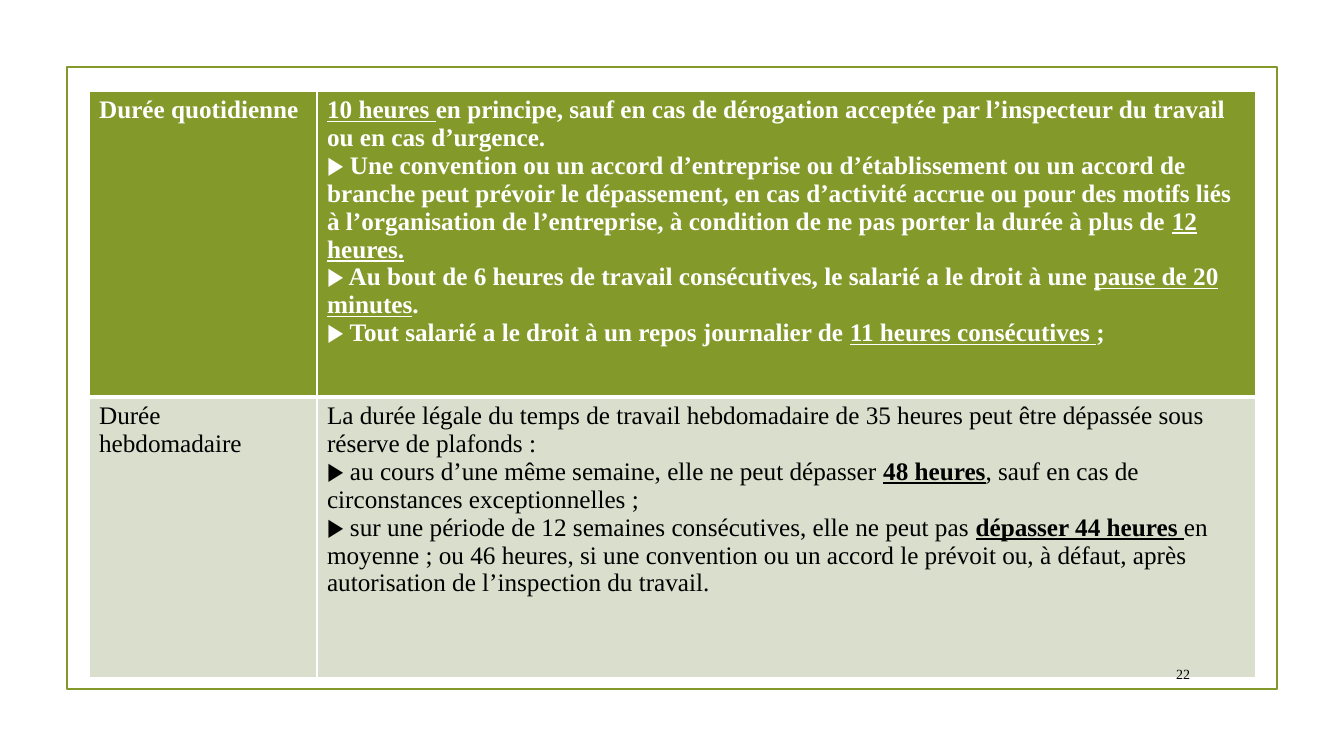
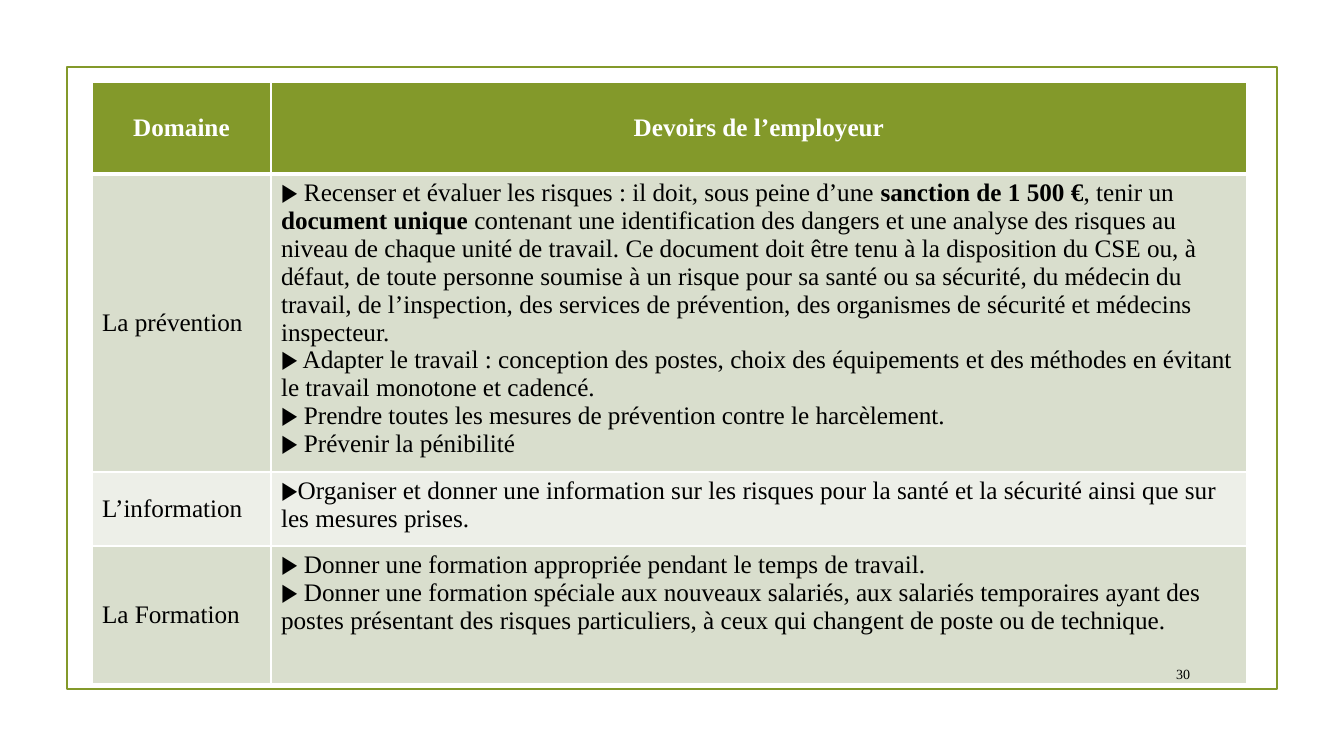
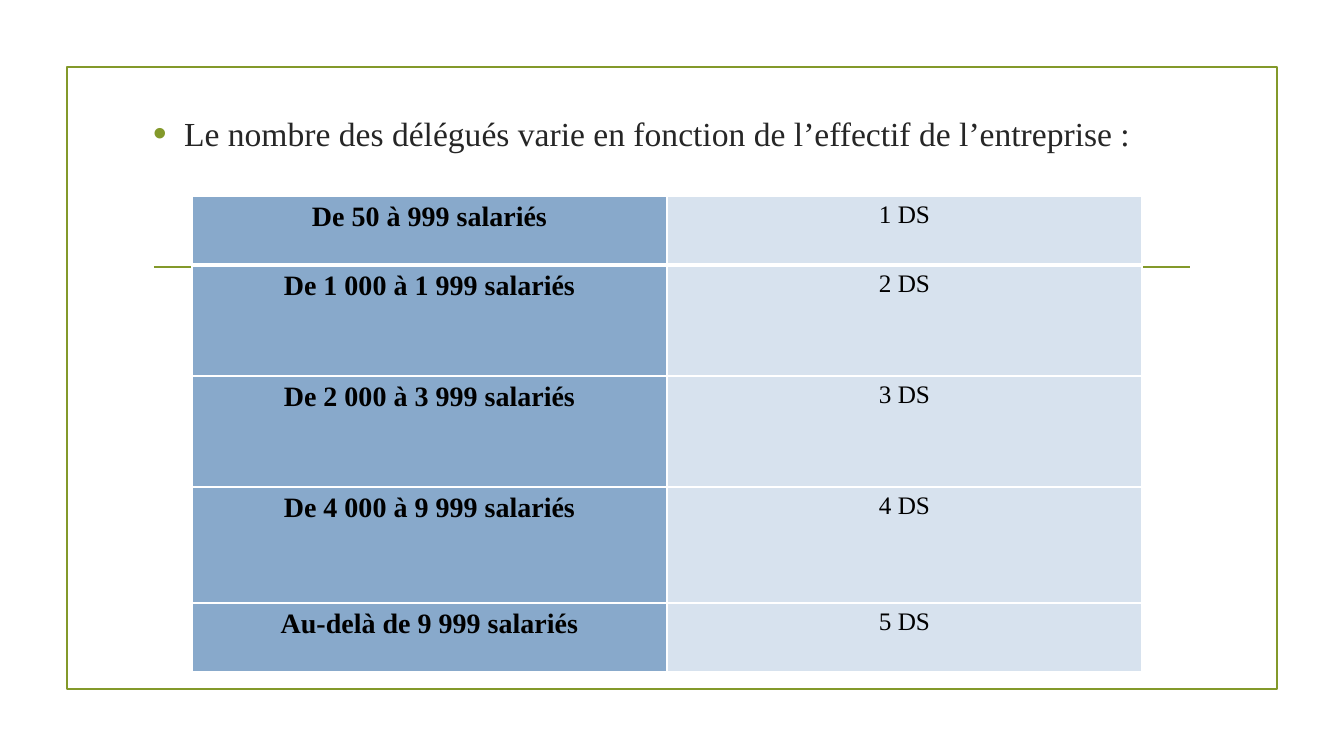
from lxml.etree import SubElement as Sub
from pptx import Presentation
from pptx.dml.color import RGBColor as Rgb
from pptx.enum.shapes import MSO_CONNECTOR as Conn, MSO_SHAPE as Shape
from pptx.enum.text import MSO_ANCHOR as Anchor, PP_ALIGN as Align
from pptx.oxml import parse_xml
from pptx.oxml.ns import nsdecls, qn
from pptx.util import Emu, Pt

SCALE = 914400 / 100.8
FACE = "Times New Roman"
HUES = {
    "green": "83992A", "sage": "D9DECD", "pale": "EDEFE8", "blue": "88A9CB",
    "sky": "D7E2EE", "white": "FFFFFF", "black": "000000", "ink": "262626",
}
HEAD = {"size": 18, "hue": "white", "bold": True}
TEXT = {"size": 18, "hue": "black", "bold": False}
RANGE = {"size": 20, "hue": "black", "bold": True}
PAGE = {"size": 10, "hue": "black"}
LEAD = {"size": 24, "hue": "ink"}
STRONG = {"bold": True}
LINED = {"bold": True, "underline": True}

HOURS = [
    ["Durée quotidienne", [
        "|10 heures |en principe, sauf en cas de dérogation acceptée par l’inspecteur du travail ou en cas d’urgence.",
        "▶ Une convention ou un accord d’entreprise ou d’établissement ou un accord de branche peut prévoir le "
        "dépassement, en cas d’activité accrue ou pour des motifs liés à l’organisation de l’entreprise, à condition "
        "de ne pas porter la durée à plus de |12 heures.",
        "▶ Au bout de 6 heures de travail consécutives, le salarié a le droit à une |pause de 20 minutes|.",
        "▶ Tout salarié a le droit à un repos journalier de |11 heures consécutives |;",
    ]],
    ["Durée hebdomadaire", [
        "La durée légale du temps de travail hebdomadaire de 35 heures peut être dépassée sous réserve de plafonds :",
        "▶ au cours d’une même semaine, elle ne peut dépasser |48 heures|, sauf en cas de circonstances "
        "exceptionnelles ;",
        "▶ sur une période de 12 semaines consécutives, elle ne peut pas |dépasser 44 heures |en moyenne ; ou "
        "46 heures, si une convention ou un accord le prévoit ou, à défaut, après autorisation de l’inspection "
        "du travail.",
    ]],
]
DUTIES = [
    ["Domaine", ["Devoirs de l’employeur"]],
    ["La prévention", [
        "▶ Recenser et évaluer les risques : il doit, sous peine d’une |sanction de 1 500 €|, tenir un |document "
        "unique |contenant une identification des dangers et une analyse des risques au niveau de chaque unité de "
        "travail. Ce document doit être tenu à la disposition du CSE ou, à défaut, de toute personne soumise à un "
        "risque pour sa santé ou sa sécurité, du médecin du travail, de l’inspection, des services de prévention, "
        "des organismes de sécurité et médecins inspecteur.",
        "▶ Adapter le travail : conception des postes, choix des équipements et des méthodes en évitant le travail "
        "monotone et cadencé.",
        "▶ Prendre toutes les mesures de prévention contre le harcèlement.",
        "▶ Prévenir la pénibilité",
    ]],
    ["L’information", [
        "▶Organiser et donner une information sur les risques pour la santé et la sécurité ainsi que sur les "
        "mesures prises.",
    ]],
    ["La Formation", [
        "▶ Donner une formation appropriée pendant le temps de travail.",
        "▶ Donner une formation spéciale aux nouveaux salariés, aux salariés temporaires ayant des postes "
        "présentant des risques particuliers, à ceux qui changent de poste ou de technique.",
    ]],
]
STAFF = [
    "De 50 à 999 salariés", "De 1 000 à 1 999 salariés", "De 2 000 à 3 999 salariés",
    "De 4 000 à 9 999 salariés", "Au-delà de 9 999 salariés",
]


def px(*sizes):
    return [Emu(round(size * SCALE)) for size in sizes]


def tint(name):
    return Rgb.from_string(HUES[name])


def style(font, look):
    font.name = FACE
    for key, value in look.items():
        if key == "hue":
            font.color.rgb = tint(value)
        else:
            setattr(font, key, Pt(value) if key == "size" else value)


def write(frame, lines, look, accent=STRONG, align=Align.LEFT):
    for i, line in enumerate(lines):
        para = frame.add_paragraph() if i else frame.paragraphs[0]
        para.alignment = align
        for j, part in enumerate(line.split("|")):
            if part:
                run = para.add_run()
                run.text = part
                style(run.font, {**look, **accent} if j % 2 else look)


def edge(props, count):
    for i, prop in enumerate(props):
        row = i // count
        thick = {"L": 1, "R": 1, "T": 3 if row == 1 else 1, "B": 1 if row else 3}
        for at, (side, width) in enumerate(thick.items()):
            line = Sub(prop, qn("a:ln" + side), w=str(Pt(width)))
            Sub(Sub(line, qn("a:solidFill")), qn("a:srgbClr"), val=HUES["white"])
            prop.insert(at, line)


def grid(slide, left, top, cols, rows, fill):
    frame = slide.shapes.add_table(
        len(rows), len(cols), *px(left, top, sum(cols), sum(rows)))
    table = frame.table
    table.horz_banding = False
    for col, width in zip(table.columns, px(*cols)):
        col.width = width
    for row, height in zip(table.rows, px(*rows)):
        row.height = height
    for r in range(len(rows)):
        for c in range(len(cols)):
            cell = table.cell(r, c)
            hue, lines, look, extra, anchor = fill(r, c)
            cell.fill.solid()
            cell.fill.fore_color.rgb = tint(hue)
            cell.vertical_anchor = anchor
            write(cell.text_frame, lines, look, **extra)
    edge(list(frame.element.iter(qn("a:tcPr"))), len(cols))


def lines_of(item):
    return [item] if isinstance(item, str) else item


def hour(r, c):
    return (("green", "sage")[r], lines_of(HOURS[r][c]), (HEAD, TEXT)[r],
            {"accent": LINED}, Anchor.TOP)


def duty(r, c):
    hue = ("green", "sage", "pale", "sage")[r]
    extra = {} if r else {"align": Align.CENTER}
    anchor = Anchor.TOP if r and c else Anchor.MIDDLE
    return hue, lines_of(DUTIES[r][c]), TEXT if r else HEAD, extra, anchor


def count(r, c):
    text = f"{r + 1} DS" if c else STAFF[r]
    return (("blue", "sky")[c], [text], (RANGE, TEXT)[c],
            {"align": Align.CENTER}, Anchor.TOP)


def number(slide, text):
    box = slide.shapes.add_textbox(*px(1141, 658, 59, 31))
    box.text_frame.word_wrap = True
    box.text_frame.vertical_anchor = Anchor.MIDDLE
    write(box.text_frame, [text], PAGE, align=Align.RIGHT)


def lead(slide, text):
    slide.shapes.title.element.getparent().remove(slide.shapes.title.element)
    body = slide.placeholders[1]
    body.left, body.top, body.width, body.height = px(143, 108, 1058, 539)
    write(body.text_frame, [text], LEAD)
    para = body.text_frame.paragraphs[0]
    para.space_before, para.space_after = Pt(0), Pt(6)
    prop = body.element.find(".//" + qn("a:pPr"))
    indent = px(31)[0]
    prop.set("marL", str(indent))
    prop.set("indent", str(-indent))
    Sub(Sub(prop, qn("a:buClr")), qn("a:srgbClr"), val=HUES["green"])
    Sub(prop, qn("a:buSzPct"), val="115000")
    Sub(prop, qn("a:buFont"), typeface="Arial")
    Sub(prop, qn("a:buChar"), char="•")


def decor(master, slide):
    frame = slide.shapes.add_shape(Shape.RECTANGLE, *px(67, 67, 1210, 622))
    frame.shadow.inherit = False
    frame.fill.background()
    rule = slide.shapes.add_connector(Conn.STRAIGHT, *px(154, 267, 1190, 267))
    rule.element.spPr.append(parse_xml(f"<a:effectLst {nsdecls('a')}/>"))
    for i, item in enumerate((frame, rule)):
        item.line.color.rgb = tint("green")
        item.line.width = Pt(1.25)
        item.element.find(".//" + qn("p:cNvPr")).set("id", str(20 + i))
        master.shapes.element.insert(2 + i, item.element)


def main():
    deck = Presentation()
    deck.slide_width, deck.slide_height = px(1344, 756)
    hours, duties, staff = [
        deck.slides.add_slide(deck.slide_layouts[i]) for i in (6, 6, 1)]
    decor(deck.slide_master, hours)
    grid(hours, 89, 91, [228, 939], [306, 281], hour)
    number(hours, "22")
    grid(duties, 92, 82, [179, 976], [92, 298, 74, 138], duty)
    number(duties, "30")
    lead(staff, "Le nombre des délégués varie en fonction de l’effectif de l’entreprise :")
    grid(staff, 192, 196, [475, 475], [69, 111, 111, 116, 69], count)
    deck.save("out.pptx")


if __name__ == "__main__":
    main()
